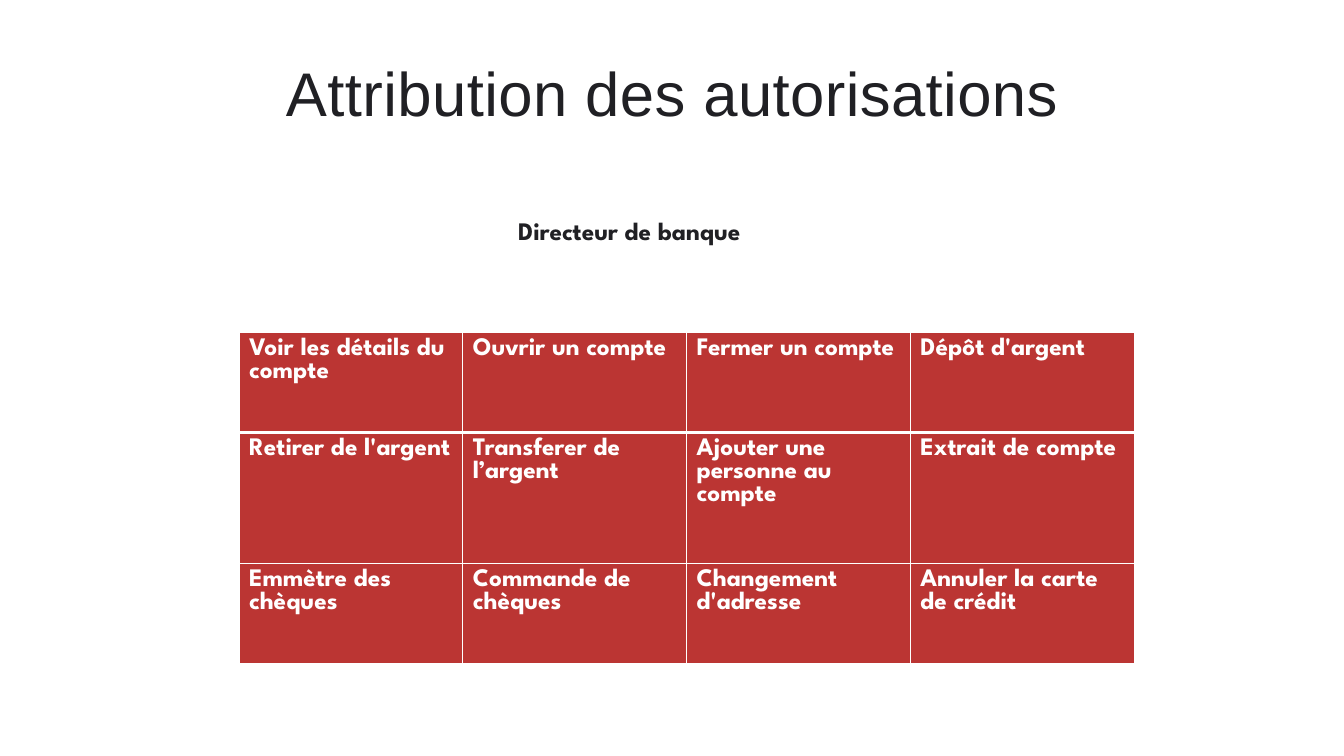
from pptx import Presentation
from pptx.dml.color import RGBColor
from pptx.enum.text import MSO_ANCHOR as ANCHOR, PP_ALIGN as ALIGN
from pptx.oxml import parse_xml
from pptx.oxml.ns import nsdecls
from pptx.util import Inches, Pt

INK, WHITE, RED = "202024", "FFFFFF", "BB3533"
BODY_FONT = "League Spartan"
PERMISSIONS = [
    ["Voir les détails du compte", "Ouvrir un compte", "Fermer un compte", "Dépôt d'argent"],
    ["Retirer de l'argent", "Transferer de l’argent", "Ajouter une personne au compte",
     "Extrait de compte"],
    ["Emmètre des chèques", "Commande de chèques", "Changement d'adresse",
     "Annuler la carte de crédit"],
]
ROW_HEIGHTS = [0.99, 1.3, 0.99]
COL_WIDTH = 2.22


def rgb(color):
    return RGBColor.from_string(color)


def style(p, font, size, color, bold=False):
    p.font.name, p.font.size, p.font.bold = font, Pt(size), bold
    p.font.color.rgb = rgb(color)


def clear_margins(tf):
    tf.margin_left = tf.margin_top = tf.margin_right = tf.margin_bottom = 0
    tf.vertical_anchor = ANCHOR.TOP


def set_title(s, text):
    title = s.shapes.title
    title.left, title.top = Inches(0.79), Inches(0.6)
    title.width, title.height = Inches(11.76), Inches(0.7)
    tf = title.text_frame
    clear_margins(tf)
    tf.text = text
    p = tf.paragraphs[0]
    p.alignment, p.line_spacing = ALIGN.CENTER, 0.95
    style(p, "Arial", 44, INK)
    p.runs[0].font._element.set("spc", "30")


def add_label(s, text, left, top, width, height):
    tf = s.shapes.add_textbox(Inches(left), Inches(top), Inches(width), Inches(height)).text_frame
    clear_margins(tf)
    tf.word_wrap = False
    tf.text = text
    p = tf.paragraphs[0]
    p.line_spacing = 1.1
    style(p, BODY_FONT, 18, INK, bold=True)


def set_borders(cell, widths):
    # Borders must come before the fill in the cell properties
    tc_pr = cell._tc.get_or_add_tcPr()
    for i, (side, width) in enumerate(widths.items()):
        tc_pr.insert(i, parse_xml(
            f'<a:{side} {nsdecls("a")} w="{Pt(width)}"><a:solidFill>'
            f'<a:srgbClr val="{WHITE}"/></a:solidFill></a:{side}>'))


def add_permissions(s, left, top):
    cols = len(PERMISSIONS[0])
    table = s.shapes.add_table(len(PERMISSIONS), cols, Inches(left), Inches(top),
                               Inches(COL_WIDTH * cols), Inches(sum(ROW_HEIGHTS))).table
    for col in table.columns:
        col.width = Inches(COL_WIDTH)
    for i, (row, height) in enumerate(zip(PERMISSIONS, ROW_HEIGHTS)):
        table.rows[i].height = Inches(height)
        for j, text in enumerate(row):
            cell = table.cell(i, j)
            cell.text = text
            cell.fill.solid()
            cell.fill.fore_color.rgb = rgb(RED)
            style(cell.text_frame.paragraphs[0], BODY_FONT, 18, WHITE, bold=True)
            # The first row is set off by a thicker rule
            set_borders(cell, {"lnL": 1, "lnR": 1, "lnT": 3 if i == 1 else 1,
                               "lnB": 3 if i == 0 else 1})


def main():
    prs = Presentation()
    prs.slide_width, prs.slide_height = Inches(13.33), Inches(7.5)
    s = prs.slides.add_slide(prs.slide_layouts[5])
    set_title(s, "Attribution des autorisations")
    add_label(s, "Directeur de banque", 5.14, 2.11, 2.57, 0.91)
    add_permissions(s, 2.37, 3.3)
    prs.save("out.pptx")


if __name__ == "__main__":
    main()
